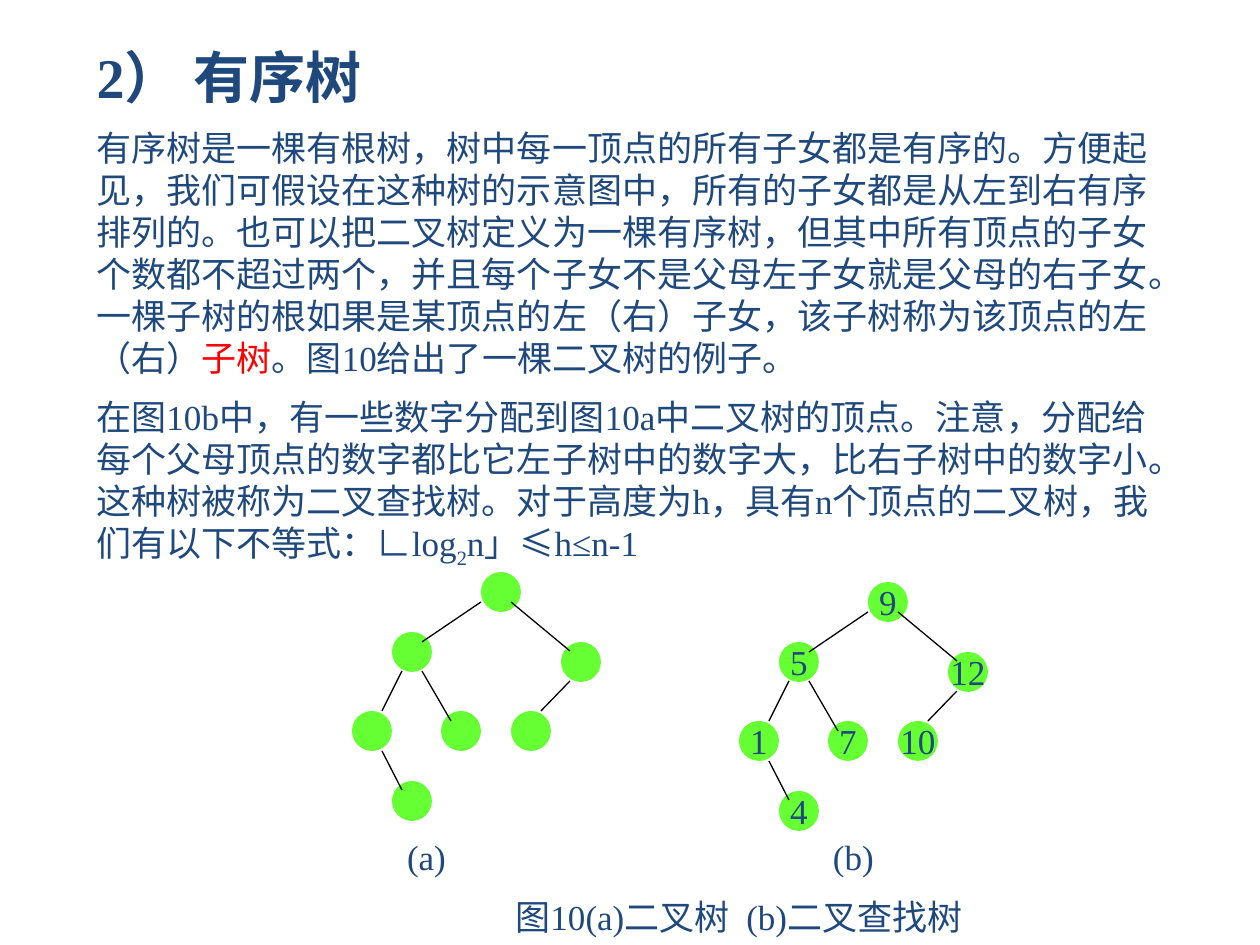
from dataclasses import dataclass

from lxml.etree import SubElement
from pptx import Presentation
from pptx.dml.color import RGBColor
from pptx.enum.shapes import MSO_CONNECTOR, MSO_SHAPE
from pptx.enum.text import MSO_ANCHOR, MSO_AUTO_SIZE, PP_ALIGN
from pptx.oxml.ns import qn
from pptx.util import Emu, Pt

PX = 914400 // 126
GRID = 9.93  # px per step of the tree grid
NODE_STEPS = 4
FONT = "Times New Roman"
NAVY, RED, GREEN, BLACK = "1F497D", "FF0000", "66FF33", "000000"


@dataclass(frozen=True)
class Box:
    left: int
    top: int
    width: int
    height: int


@dataclass(frozen=True)
class Tree:
    left: int
    top: int
    labels: tuple[str, ...]


@dataclass(frozen=True)
class Label:
    text: str
    box: Box


# Grid steps (column, row) of the nodes, and of both ends of each edge
NODES = ((13, 0), (4, 6), (21, 7), (0, 14), (9, 14), (16, 14), (4, 21))
EDGES = (
    ((13, 3), (7, 7)),
    ((16, 3), (22, 8)),
    ((5, 10), (3, 14)),
    ((7, 10), (10, 15)),
    ((3, 18), (5, 22)),
    ((22, 11), (19, 14)),
)
TREES = (
    Tree(352, 572, ("",) * len(NODES)),
    Tree(739, 582, ("9", "5", "12", "1", "7", "10", "4")),
)
LABELS = (
    Label("(a)", Box(352, 829, 149, 54)),
    Label("(b)", Box(779, 829, 149, 54)),
    Label("图10(a)二叉树 (b)二叉查找树", Box(441, 889, 596, 54)),
)

TITLE = "2） 有序树"
DEFINITION = (
    "有序树是一棵有根树，树中每一顶点的所有子女都是有序的。方便起见，"
    "我们可假设在这种树的示意图中，所有的子女都是从左到右有序排列的。"
    "也可以把二叉树定义为一棵有序树，但其中所有顶点的子女个数都不超过两个，"
    "并且每个子女不是父母左子女就是父母的右子女。"
    "一棵子树的根如果是某顶点的左（右）子女，该子树称为该顶点的左（右）"
)
SEARCH_TREE = (
    "在图10b中，有一些数字分配到图10a中二叉树的顶点。注意，"
    "分配给每个父母顶点的数字都比它左子树中的数字大，比右子树中的数字小。"
    "这种树被称为二叉查找树。对于高度为h，具有n个顶点的二叉树，"
    "我们有以下不等式：∟log"
)


def px(value: float) -> Emu:
    return Emu(round(value) * PX)


def color(value: str) -> RGBColor:
    return RGBColor.from_string(value)


def place(shape, box: Box) -> None:
    shape.left, shape.top = px(box.left), px(box.top)
    shape.width, shape.height = px(box.width), px(box.height)


def style(paragraph, size: int = 20, bold: bool = False) -> None:
    font = paragraph.font
    font.name, font.size, font.bold = FONT, Pt(size), bold
    font.color.rgb = color(NAVY)


def add_run(paragraph, text: str, **attributes: str):
    run = paragraph.add_run()
    run.text = text
    for name, value in attributes.items():
        run._r.get_or_add_rPr().set(name, value)
    return run


def add_text_box(slide, box: Box):
    shape = slide.shapes.add_textbox(0, 0, 0, 0)
    place(shape, box)
    shape.text_frame.word_wrap = True
    return shape.text_frame


def add_title(slide) -> None:
    title = slide.shapes.title
    place(title, Box(84, 36, 1111, 80))
    frame = title.text_frame
    frame.text = TITLE
    frame.auto_size = MSO_AUTO_SIZE.NONE
    frame.vertical_anchor = MSO_ANCHOR.TOP
    paragraph = frame.paragraphs[0]
    paragraph.alignment = PP_ALIGN.LEFT
    style(paragraph, 32, bold=True)


def add_body(slide) -> None:
    frame = add_text_box(slide, Box(84, 120, 1109, 462))
    definition = frame.paragraphs[0]
    style(definition)
    add_run(definition, DEFINITION)
    add_run(definition, "子树").font.color.rgb = color(RED)
    add_run(definition, "。图10给出了一棵二叉树的例子。")

    search_tree = frame.add_paragraph()
    style(search_tree)
    search_tree.space_before = Pt(10)
    add_run(search_tree, SEARCH_TREE)
    add_run(search_tree, "2", baseline="-25000")
    add_run(search_tree, "n」≤h≤n-1")


def add_node(slide, box: Box, label: str) -> None:
    node = slide.shapes.add_shape(MSO_SHAPE.OVAL, 0, 0, 0, 0)
    place(node, box)
    node.shadow.inherit = False
    node.fill.solid()
    node.fill.fore_color.rgb = color(GREEN)
    node.line.fill.background()
    if label:
        frame = node.text_frame
        frame.text = label
        frame.word_wrap = False
        frame.vertical_anchor = MSO_ANCHOR.MIDDLE
        frame.paragraphs[0].alignment = PP_ALIGN.CENTER
        style(frame.paragraphs[0])


def add_edge(slide, start: tuple[float, float], end: tuple[float, float]) -> None:
    edge = slide.shapes.add_connector(
        MSO_CONNECTOR.STRAIGHT, *map(px, start), *map(px, end)
    )
    edge.line.color.rgb = color(BLACK)
    edge.line.width = Pt(0.75)
    SubElement(edge._element.spPr, qn("a:effectLst"))


def add_tree(slide, tree: Tree) -> None:
    def at(step: tuple[int, int]) -> tuple[int, int]:
        return tree.left + round(step[0] * GRID), tree.top + round(step[1] * GRID)

    size = round(NODE_STEPS * GRID)
    for step, label in zip(NODES, tree.labels):
        add_node(slide, Box(*at(step), size, size), label)
    for start, end in EDGES:
        add_edge(slide, at(start), at(end))


def add_label(slide, label: Label) -> None:
    paragraph = add_text_box(slide, label.box).paragraphs[0]
    paragraph.alignment = PP_ALIGN.CENTER
    style(paragraph)
    first, gap, second = label.text.partition(" ")
    add_run(paragraph, first)
    if gap:
        add_run(paragraph, gap, spc="500")  # widened by 5 pt
        add_run(paragraph, second)


def main() -> None:
    presentation = Presentation()
    presentation.slide_width, presentation.slide_height = px(1260), px(945)
    slide = presentation.slides.add_slide(presentation.slide_layouts[5])

    # Heading and explanation
    add_title(slide)
    add_body(slide)

    # Binary tree and binary search tree, with their captions
    for tree in TREES:
        add_tree(slide, tree)
    for label in LABELS:
        add_label(slide, label)

    presentation.save("out.pptx")


if __name__ == "__main__":
    main()
